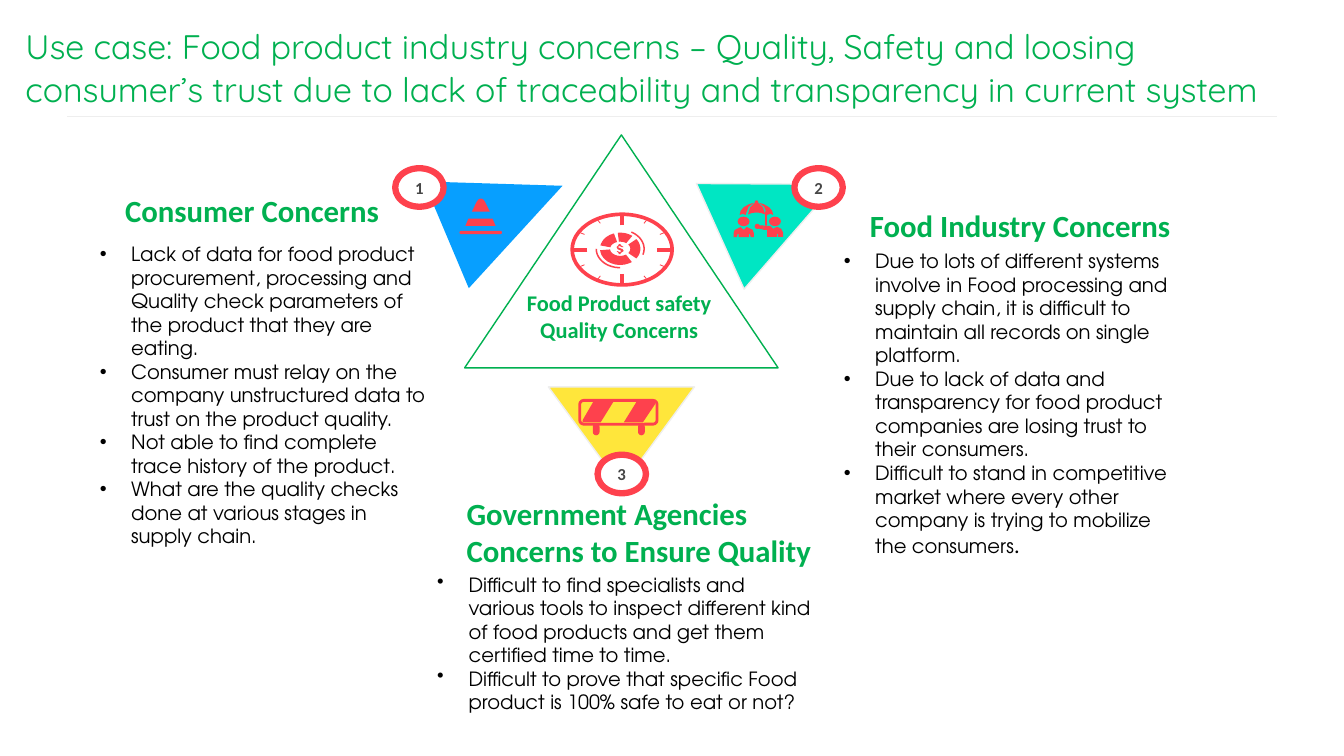
import math

from lxml import etree
from pptx import Presentation
from pptx import util as u
from pptx.dml.color import RGBColor
from pptx.enum import shapes, text
from pptx.oxml.ns import qn

COLORS = {
    "green": "00B050", "red": "FE414D", "yellow": "FFE63B", "teal": "00E6C3",
    "blue": "079FFF", "white": "FFFFFF", "pale": "EEEEEE", "gray": "464646",
    "black": "000000",
}
SHAPE = shapes.MSO_SHAPE
HEADING = dict(font="Calibri", size=22, color="green", bold=True)
BODY = dict(font="TeX Gyre Adventor", size=14, color="black", bold=False)


def color_of(name):
    return RGBColor.from_string(COLORS[name])


def write(paragraph, content, font, size, color, bold=False):
    run = paragraph.add_run()
    run.text = content
    run.font.name = font
    run.font.size = u.Pt(size)
    run.font.bold = bold
    run.font.color.rgb = color_of(color)


def arc(rx, ry, start, end, steps=24):
    angles = [math.radians(start + (end - start) * i / steps) for i in range(steps + 1)]
    return [(rx * math.cos(a), ry * math.sin(a)) for a in angles]


def band(outer, inner, start, end):
    return arc(*outer, start, end) + arc(*inner, end, start)


class ConcernSlide:
    def __init__(self, presentation):
        self.slide = presentation.slides.add_slide(presentation.slide_layouts[4])
        self.shapes = self.slide.shapes

    def frame(self, box, placeholder=None, inset=None):
        box = [u.Cm(value) for value in box]
        if placeholder is None:
            shape = self.shapes.add_textbox(*box)
        else:
            shape = self.slide.placeholders[placeholder]
            shape.left, shape.top, shape.width, shape.height = box
        frame = shape.text_frame
        frame.word_wrap = True
        frame.auto_size = text.MSO_AUTO_SIZE.NONE
        frame.vertical_anchor = text.MSO_ANCHOR.TOP
        if inset is not None:
            frame.margin_left = frame.margin_right = u.Cm(inset)
            frame.margin_top = frame.margin_bottom = u.Cm(inset)
        return frame

    def label(self, box, content, placeholder=None, inset=None, spacing=1.0,
              align=text.PP_ALIGN.LEFT, **style):
        paragraph = self.frame(box, placeholder, inset).paragraphs[0]
        paragraph.alignment = align
        paragraph.space_before = u.Pt(0)
        paragraph.line_spacing = spacing
        properties = paragraph._p.get_or_add_pPr()
        properties.set("marL", "0")
        properties.set("indent", "0")
        etree.SubElement(properties, qn("a:buNone"))
        write(paragraph, content, **style)

    def bullets(self, box, items, placeholder=None):
        frame = self.frame(box, placeholder)
        for index, item in enumerate(items):
            paragraph = frame.add_paragraph() if index else frame.paragraphs[0]
            paragraph.alignment = text.PP_ALIGN.LEFT
            paragraph.space_before = u.Pt(0)
            properties = paragraph._p.get_or_add_pPr()
            properties.set("marL", str(u.Cm(0.79)))
            properties.set("indent", str(-u.Cm(0.79)))
            etree.SubElement(properties, qn("a:buChar")).set("char", "•")
            write(paragraph, item, **BODY)
        return paragraph

    def paint(self, shape, fill, line=None, width=1.0):
        shape.shadow.inherit = False
        if fill:
            shape.fill.solid()
            shape.fill.fore_color.rgb = color_of(fill)
        else:
            shape.fill.background()
        if line:
            shape.line.color.rgb = color_of(line)
            shape.line.width = u.Pt(width)
        else:
            shape.line.fill.background()
        return shape

    def preset(self, kind, box, fill="red", line=None, width=1.0, rotation=0, adjust=None):
        shape = self.shapes.add_shape(kind, *[u.Cm(value) for value in box])
        shape.rotation = rotation
        if adjust is not None:
            shape.adjustments[0] = adjust
        return self.paint(shape, fill, line, width)

    def badge(self, left, top, number):
        shape = self.preset(SHAPE.OVAL, (left, top, 1.22, 0.97), "white", "red", 4.5)
        frame = shape.text_frame
        frame.margin_left = frame.margin_right = 0
        frame.margin_top = frame.margin_bottom = 0
        frame.vertical_anchor = text.MSO_ANCHOR.MIDDLE
        frame.paragraphs[0].alignment = text.PP_ALIGN.CENTER
        write(frame.paragraphs[0], number, "Calibri", 12, "gray", True)

    def outline(self, left, top, points):
        points = [(x * 10, y * 10) for x, y in points]
        builder = self.shapes.build_freeform(*points[0], scale=u.Cm(0.0254) / 10)
        builder.add_line_segments(points[1:], close=True)
        self.paint(builder.convert_to_shape(u.Cm(left), u.Cm(top)), "red")

    def line(self, x1, y1, x2, y2, color, width):
        connector = self.shapes.add_connector(
            shapes.MSO_CONNECTOR.STRAIGHT, *[u.Cm(value) for value in (x1, y1, x2, y2)])
        connector.line.color.rgb = color_of(color)
        connector.line.width = u.Pt(width)
        etree.SubElement(connector._element.spPr, qn("a:effectLst"))

    def cone_icon(self):
        self.preset(SHAPE.ROUNDED_RECTANGLE, (11.58, 5.82, 1.07, 0.08), adjust=0.5)
        self.preset(SHAPE.TRAPEZOID, (11.73, 5.51, 0.76, 0.18), adjust=0.43)
        self.outline(11.89, 4.98, [(0, 14), (5, 4), (7, 1.5), (9, 1), (11, 1.5), (13, 4), (18, 14)])

    def umbrella_icon(self):
        self.outline(18.49, 5.72, [(13, 0), (15, 1), (19, 3), (20, 6), (20, 10), (17, 10), (16, 7),
                                   (15, 7), (15, 10), (5, 10), (5, 7), (4, 7), (3, 10), (0, 10),
                                   (0, 6), (1, 3), (5, 1), (7, 0), (10, 3)])
        self.outline(19.23, 5.69, [(1, 0), (7, 0), (10, 3), (14, 1), (18, 3), (20, 7), (20, 11),
                                   (15, 11), (15, 8), (14, 8), (14, 11), (4, 11), (4, 4), (0, 4)])
        for left in (18.59, 19.38):
            self.preset(SHAPE.OVAL, (left, 5.46, 0.3, 0.24))
        self.preset(SHAPE.OVAL, (19.02, 5.64, 0.13, 0.13))
        panel = [(14, 0), (9, 1.5), (4, 4.5), (1, 8), (0, 12), (3, 11), (6, 12), (7, 9), (9, 4)]
        self.outline(18.64, 5.11, panel)
        self.outline(19.13, 5.11, [(14 - x, y) for x, y in panel])
        self.outline(18.85, 5.05, [(0, 14), (2, 7), (7, 2), (7, 0.5), (8.5, 0), (10, 0.5), (10, 2),
                                   (15, 7), (17, 14), (13, 12.5), (8.5, 12), (4, 12.5)])
        self.preset(SHAPE.RECTANGLE, (19.28, 5.33, 0.05, 0.36))
        self.preset(SHAPE.TRAPEZOID, (19.13, 5.66, 0.1, 0.13), rotation=276.4, adjust=0.08)

    def barrier_icon(self):
        self.preset(SHAPE.ROUNDED_RECTANGLE, (14.61, 10.09, 1.95, 0.6), None, "red", 2)
        self.outline(14.68, 10.11, [(11, 0), (31, 0), (18, 21), (0, 21), (0, 19)])
        self.outline(15.72, 10.11, [(13, 0), (31, 0), (31, 3), (19, 21), (0, 21)])
        for left in (14.94, 16.08):
            self.preset(SHAPE.ROUNDED_RECTANGLE, (left, 10.67, 0.17, 0.3), adjust=0.5)

    def clock_icon(self):
        x, y = 15.68, 6.29
        self.preset(SHAPE.OVAL, (14.42, 5.4, 2.52, 1.78), None, "red", 2.6)
        for hour in range(12):
            angle = math.radians(hour * 30)
            reach, width = (0.72, 2.9) if hour % 3 == 0 else (0.9, 0.6)
            dx, dy = 1.22 * math.cos(angle), 0.85 * math.sin(angle)
            self.line(x + dx * reach, y + dy * reach, x + dx, y + dy, "red", width)
        for start, end in ((-97, -53), (-37, 37), (-168, -108), (55, 175)):
            self.outline(15.63, 6.27, band((20, 16), (10, 7), start, end))
        for start, end in ((-62, 18), (90, 180)):
            self.outline(15.63, 6.27, band((24.5, 19.5), (23, 18), start, end))
        self.outline(15.54, 6.15, [(3, 2), (5, 3), (7, 3), (4, 1), (4, 0), (2, 0), (2, 1), (0, 3),
                                   (1, 5), (3, 6), (5, 7), (3, 8), (1, 7), (0, 7), (2, 9), (2, 10),
                                   (4, 10), (4, 9), (7, 7), (6, 5), (3, 4), (1, 3)])


def main():
    presentation = Presentation()
    presentation.slide_width, presentation.slide_height = u.Cm(33.87), u.Cm(19.05)
    page = ConcernSlide(presentation)
    page.line(1.7, 2.92, 32.18, 2.92, "pale", 0.5)
    page.label((0.64, 0.61, 32.3, 2.34),
               "Use case: Food product industry concerns – Quality, Safety and loosing consumer’s "
               "trust due to lack of traceability and transparency in current system",
               placeholder=0, inset=0, spacing=1.04, font="Quicksand", size=24.3, color="green")

    for box, fill, line, rotation in (
        ((11.71, 3.4, 7.9, 5.87), "white", "green", 0),
        ((13.82, 9.75, 3.68, 2.51), "yellow", "pale", 180),
        ((18.14, 3.71, 2.92, 3.18), "teal", "pale", 65.7),
        ((11.25, 3.71, 2.92, 3.18), "blue", None, 67.1),
    ):
        page.preset(SHAPE.ISOSCELES_TRIANGLE, box, fill, line, rotation=rotation)
    for number, (left, top) in enumerate(((9.96, 4.24), (20.02, 4.24), (15.06, 11.46)), 1):
        page.badge(left, top, str(number))

    page.label((2.9, 4.7, 7.29, 1.19), "Consumer Concerns", placeholder=1, **HEADING)
    page.bullets((2.26, 5.97, 8.76, 8.03), [
        "Lack of data for food product procurement, processing and Quality check parameters "
        "of the product that they are eating.",
        "Consumer must relay on the company unstructured data to trust on the product quality.",
        "Not able to find complete trace history of the product.",
        "What are the quality checks done at various stages in supply chain."], placeholder=2)
    page.label((21.67, 5.08, 8.92, 1.19), "Food Industry Concerns", placeholder=3, **HEADING)
    closing = page.bullets((21.01, 6.15, 8.89, 8.13), [
        "Due to lots of different systems involve in Food processing and supply chain, it is "
        "difficult to maintain all records on single platform.",
        "Due to lack of data and transparency for food product companies are losing trust to "
        "their consumers.",
        "Difficult to stand in competitive market where every other company is trying to "
        "mobilize the consumers"], placeholder=4)
    write(closing, ".", "Calibri", 16, "black")
    page.label((11.51, 12.34, 10.19, 2.13), "Government Agencies Concerns to Ensure Quality",
               **HEADING)
    page.bullets((10.77, 14.3, 9.98, 3.84), [
        "Difficult to find specialists and various tools to inspect different kind of food "
        "products and get them certified time to time.",
        "Difficult to prove that specific Food product is 100% safe to eat or not?"])
    page.label((12.29, 7.16, 6.63, 1.63), "Food Product safety Quality Concerns",
               align=text.PP_ALIGN.CENTER, **{**HEADING, "size": 16})

    page.cone_icon()
    page.umbrella_icon()
    page.barrier_icon()
    page.clock_icon()
    presentation.save("out.pptx")


if __name__ == "__main__":
    main()
